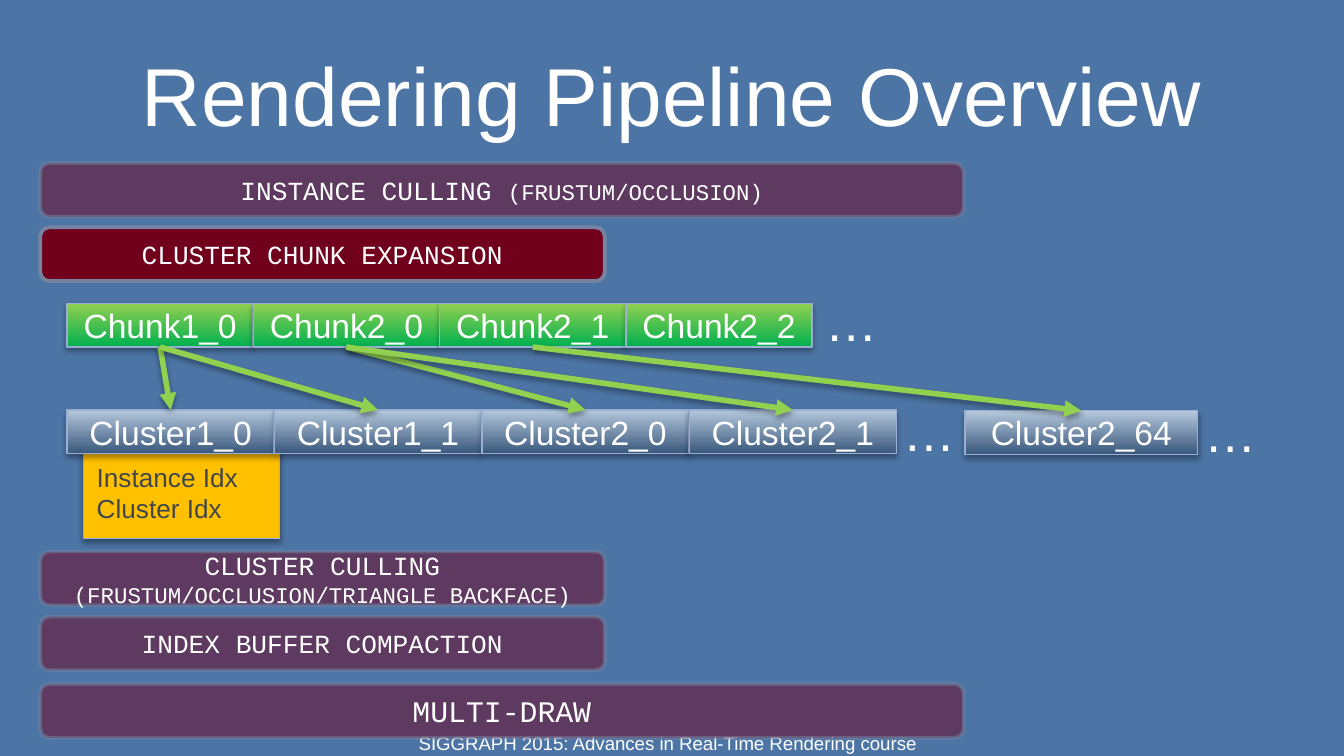
from dataclasses import dataclass

from lxml import etree
from pptx import Presentation
from pptx import util as u
from pptx.dml.color import RGBColor
from pptx.enum import shapes, text
from pptx.oxml.ns import qn

Pt = u.Pt


@dataclass(frozen=True)
class Theme:
    background: str = "4C75A5"
    white: str = "FFFFFF"
    dark_text: str = "41464C"
    stage: str = "70001C"
    stage_edge: str = "7684A0"
    box_edge: str = "9BAFD5"
    record: str = "FFC000"
    arrow: str = "92D050"
    chunk: tuple = ("00B050", "92D050")
    cluster: tuple = ("39587C", "B5C8DD")
    sans: str = "Arial"
    mono: str = "Courier New"
    title: int = 44
    dots: int = 28
    box: int = 18
    draw: int = 16
    label: int = 14
    detail: int = 12
    footer: int = 10


def rgb(value):
    return RGBColor.from_string(value)


class PipelineSlide:
    def __init__(self, slide, theme):
        self.slide, self.theme = slide, theme
        slide.background.fill.solid()
        slide.background.fill.fore_color.rgb = rgb(theme.background)

    def style(self, paragraph, size, color, font, align):
        paragraph.alignment = align
        paragraph.font.name = font
        paragraph.font.color.rgb = rgb(color)
        if size:
            paragraph.font.size = Pt(size)

    def cast_shadow(self, effects, opacity, distance):
        shadow = etree.SubElement(
            effects, qn("a:outerShdw"), blurRad=str(Pt(3.1)),
            dist=str(Pt(distance)), dir="5400000", rotWithShape="0")
        color = etree.SubElement(shadow, qn("a:srgbClr"), val="000000")
        etree.SubElement(color, qn("a:alpha"), val=str(opacity * 1000))

    def label(self, words, left, top, width, height, size,
              anchor=text.MSO_ANCHOR.MIDDLE, align=text.PP_ALIGN.CENTER, wrap=True):
        frame = self.slide.shapes.add_textbox(
            Pt(left), Pt(top), Pt(width), Pt(height)).text_frame
        frame.word_wrap = wrap
        frame.vertical_anchor = anchor
        frame.text = words
        self.style(frame.paragraphs[0], size, self.theme.white, self.theme.sans, align)

    def dots(self, left, top):
        self.label("…", left, top, 42.5, 41, self.theme.dots,
                   text.MSO_ANCHOR.TOP, text.PP_ALIGN.LEFT, wrap=False)

    def stage(self, runs, top, width, opacity=50):
        t = self.theme
        bar = self.slide.shapes.add_shape(
            shapes.MSO_SHAPE.FLOWCHART_ALTERNATE_PROCESS,
            Pt(21.6), Pt(top), Pt(width), Pt(28.8))
        bar.shadow.inherit = False
        bar.fill.solid()
        bar.fill.fore_color.rgb = rgb(t.stage)
        bar.line.color.rgb = rgb(t.stage_edge)
        bar.line.width = Pt(2)
        if opacity < 100:
            for color in bar._element.spPr.iter(qn("a:srgbClr")):
                etree.SubElement(color, qn("a:alpha"), val=str(opacity * 1000))
        bar.text_frame.vertical_anchor = text.MSO_ANCHOR.MIDDLE
        paragraph = bar.text_frame.paragraphs[0]
        shared_size = runs[0][1] if len(runs) == 1 else None
        self.style(paragraph, shared_size, t.white, t.mono, text.PP_ALIGN.CENTER)
        for words, size in runs:
            run = paragraph.add_run()
            run.text = words
            if not shared_size:
                run.font.size = Pt(size)

    def box(self, words, left, top, width, height, fill, size, color, align):
        rect = self.slide.shapes.add_shape(
            shapes.MSO_SHAPE.RECTANGLE, Pt(left), Pt(top), Pt(width), Pt(height))
        if isinstance(fill, tuple):
            rect.fill.gradient()
            rect.fill.gradient_angle = 90
            for stop, shade in zip(rect.fill.gradient_stops, fill):
                stop.color.rgb = rgb(shade)
        else:
            rect.fill.solid()
            rect.fill.fore_color.rgb = rgb(fill)
        rect.line.color.rgb = rgb(self.theme.box_edge)
        rect.line.width = Pt(0.75)
        rect.shadow.inherit = False
        self.cast_shadow(rect._element.spPr.find(qn("a:effectLst")), 35, 1.8)
        rect.text_frame.vertical_anchor = text.MSO_ANCHOR.MIDDLE
        rect.text_frame.text = words
        for paragraph in rect.text_frame.paragraphs:
            self.style(paragraph, size, color, self.theme.sans, align)
        return rect

    def item(self, words, left, top, width, fill):
        return self.box(words, left, top, width, 23.4, fill, self.theme.box,
                        self.theme.white, text.PP_ALIGN.CENTER)

    def arrow(self, source, target):
        link = self.slide.shapes.add_connector(
            shapes.MSO_CONNECTOR.STRAIGHT, 0, 0, 0, 0)
        link.begin_connect(source, 2)
        link.end_connect(target, 0)
        link.line.color.rgb = rgb(self.theme.arrow)
        link.line.width = Pt(3)
        properties = link._element.spPr
        etree.SubElement(properties.find(qn("a:ln")), qn("a:tailEnd"), type="triangle")
        self.cast_shadow(etree.SubElement(properties, qn("a:effectLst")), 38, 1.6)


def main():
    deck = Presentation()
    deck.slide_width, deck.slide_height = Pt(720), Pt(405)
    theme = Theme()
    page = PipelineSlide(deck.slides.add_slide(deck.slide_layouts[6]), theme)

    # Footer, cluster record and title
    page.label("SIGGRAPH 2015: Advances in Real-Time Rendering course",
               120, 387.5, 475, 21.6, theme.footer)
    page.box("Instance Idx\nCluster Idx", 44.7, 239, 105.2, 49.7, theme.record,
             theme.label, theme.dark_text, text.PP_ALIGN.LEFT)
    page.label("Rendering Pipeline Overview", 36, 16.6, 648, 67.7, theme.title)

    # Pipeline stages
    wide, narrow = 494.6, 302.4
    page.stage([("MULTI-DRAW", theme.draw)], 366.5, wide)
    page.stage([("INSTANCE CULLING ", theme.label),
                ("(FRUSTUM/OCCLUSION)", theme.detail)], 87.4, wide)
    page.stage([("CLUSTER CHUNK EXPANSION", theme.label)], 121.8, narrow, opacity=100)
    page.stage([("CLUSTER CULLING ", theme.label),
                ("(FRUSTUM/OCCLUSION/TRIANGLE BACKFACE)", theme.detail)], 295.5, narrow)
    page.stage([("INDEX BUFFER COMPACTION", theme.label)], 330.3, narrow)

    # Chunk row
    chunks = {name: page.item(f"Chunk{name}", 36 + 99.8 * i, 162.5, 99.6, theme.chunk)
              for i, name in enumerate(("1_0", "2_0", "2_1", "2_2"))}
    page.dots(434.9, 151.2)

    # Cluster row
    clusters = {name: page.item(f"Cluster{name}", 36 + 111.1 * i, 219.6, 110.9, theme.cluster)
                for i, name in enumerate(("1_0", "1_1", "2_0", "2_1"))}
    page.dots(476.6, 210.4)
    clusters["2_64"] = page.item("Cluster2_64", 517, 220, 124.6, theme.cluster)
    page.dots(638, 211)

    # Chunks expand into clusters
    for chunk, cluster in (("1_0", "1_0"), ("1_0", "1_1"), ("2_0", "2_0"),
                           ("2_0", "2_1"), ("2_1", "2_64")):
        page.arrow(chunks[chunk], clusters[cluster])

    deck.save("out.pptx")


if __name__ == "__main__":
    main()
